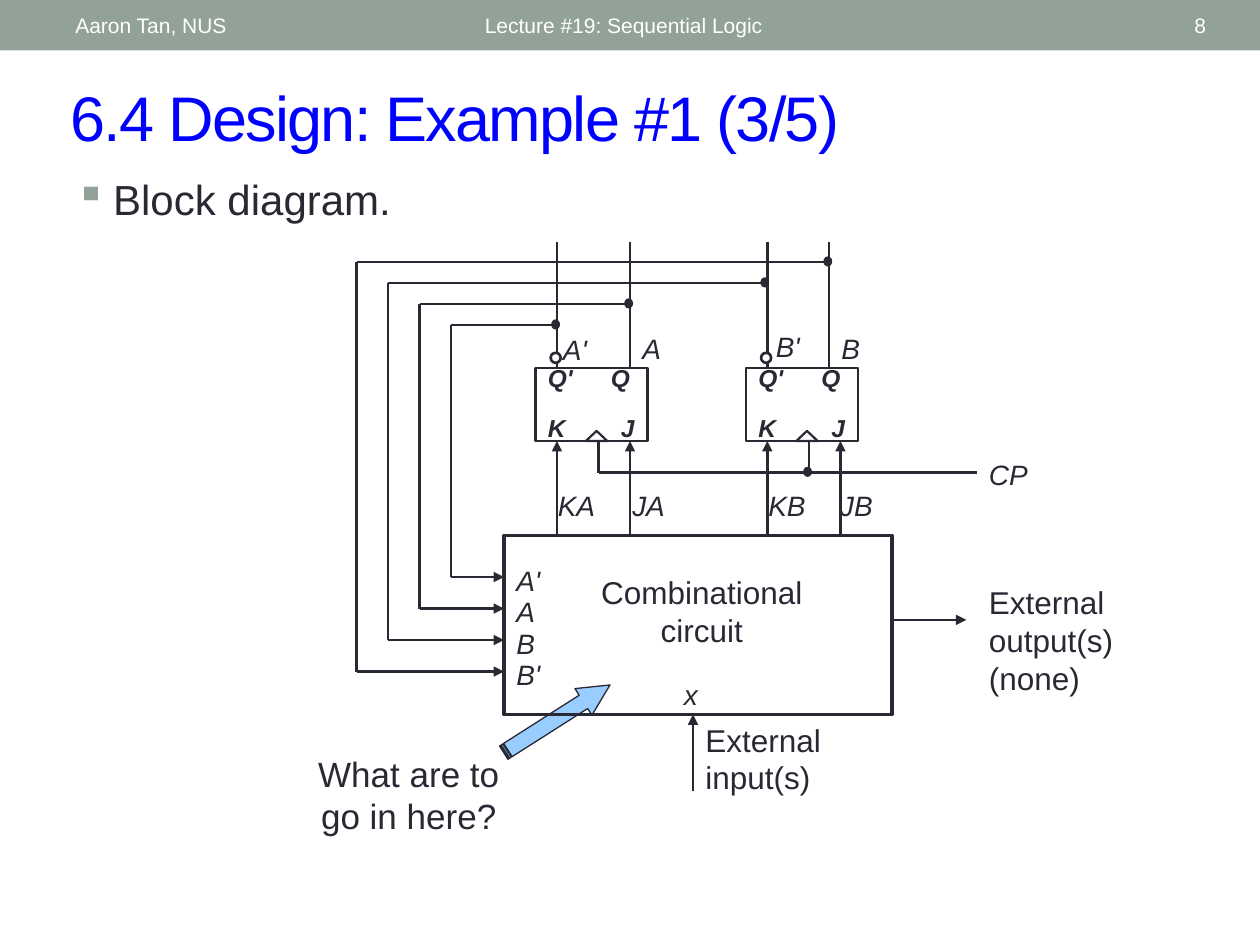
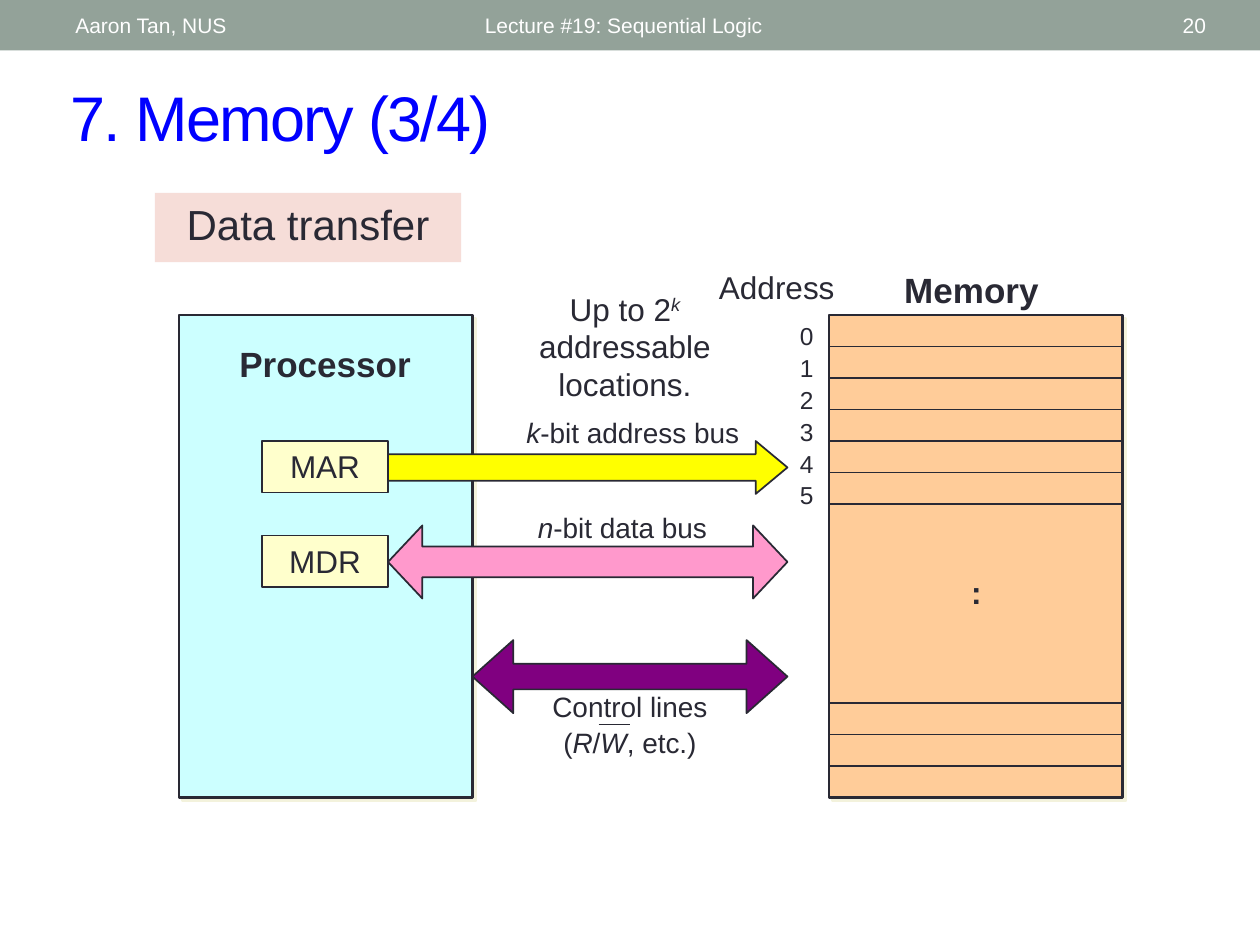
from dataclasses import dataclass

import lxml.etree
import pptx
import pptx.dml.color
import pptx.enum.shapes
import pptx.enum.text
import pptx.oxml.ns
import pptx.util

Inches = pptx.util.Inches
Pt = pptx.util.Pt
SHAPE = pptx.enum.shapes.MSO_SHAPE
ALIGN = pptx.enum.text.PP_ALIGN
ANCHOR = pptx.enum.text.MSO_ANCHOR
qn = pptx.oxml.ns.qn


@dataclass(frozen=True)
class Theme:
    font: str = "Arial"
    ink: str = "292934"
    band: str = "93A299"
    white: str = "FFFFFF"
    title: str = "0000FF"
    pointer: str = "99CCFF"
    heading: str = "F6DDD8"
    processor: str = "CCFFFF"
    register: str = "FFFFCC"
    memory: str = "FFCC99"
    address_bus: str = "FFFF00"
    data_bus: str = "FF99CC"
    control_bus: str = "800080"
    shadow: str = "F3F2DC"
    title_size: float = 36
    body_size: float = 24
    large_size: float = 20
    text_size: float = 18
    label_size: float = 16
    pin_size: float = 14
    band_size: float = 12


T = Theme()


@dataclass(frozen=True)
class Label:
    """Asterisks enclose italics; a leading caret raises a part."""
    text: str
    left: float
    top: float
    width: float
    height: float
    size: float = T.label_size
    color: str = T.ink
    bold: bool = False
    align: ALIGN = ALIGN.LEFT
    anchor: ANCHOR = ANCHOR.TOP
    wrap: bool = False


@dataclass(frozen=True)
class Box:
    left: float
    top: float
    width: float
    height: float
    kind: SHAPE = SHAPE.RECTANGLE
    fill: str | None = None
    line: float | None = None
    adjust: tuple[float, ...] = ()
    rotation: float = 0
    shadow: bool = False


@dataclass(frozen=True)
class Wire:
    x1: float
    y1: float
    x2: float
    y2: float
    width: float = 1.5
    arrow: bool = False


@dataclass(frozen=True)
class Feedback:
    signal: str
    tap_x: float


@dataclass(frozen=True)
class FlipFlop:
    name: str
    left: float
    q_x: float
    j_x: float
    q_label: float
    qn_label: tuple[float, float]
    k_label: float
    j_label: float


def rgb(color: str) -> pptx.dml.color.RGBColor:
    return pptx.dml.color.RGBColor.from_string(color)


def style_run(r, size: float, color: str, bold: bool = False, italic: bool = False) -> None:
    r.font.name, r.font.size = T.font, Pt(size)
    r.font.bold, r.font.italic = bold, italic
    r.font.color.rgb = rgb(color)


def write_label(sp, label: Label) -> None:
    tf = sp.text_frame
    tf.word_wrap, tf.vertical_anchor = label.wrap, label.anchor
    tf.text = label.text
    for p in tf.paragraphs:
        parts = [(part, i % 2 == 1) for i, part in enumerate(p.text.split("*")) if part]
        p.text = parts[0][0].lstrip("^")
        for part, _ in parts[1:]:
            p.add_run().text = part.lstrip("^")
        p.alignment = label.align
        if label.wrap and p is not tf.paragraphs[0] and len(tf.paragraphs) > 1:
            p.space_before = Pt(label.size * 0.1)
        for r, (part, italic) in zip(p.runs, parts):
            style_run(r, label.size, label.color, label.bold, italic)
            if part.startswith("^"):
                r._r.get_or_add_rPr().set("baseline", "30000")
    tf.paragraphs[0].space_before = Pt(0)


def add_label(s, label: Label):
    sp = s.shapes.add_textbox(*map(Inches, (label.left, label.top, label.width, label.height)))
    write_label(sp, label)
    return sp


def add_box(s, box: Box):
    sp = s.shapes.add_shape(box.kind, *map(Inches, (box.left, box.top, box.width, box.height)))
    sp.shadow.inherit = False
    sp.rotation = box.rotation
    for i, value in enumerate(box.adjust):
        sp.adjustments[i] = value
    if box.fill:
        sp.fill.solid()
        sp.fill.fore_color.rgb = rgb(box.fill)
    else:
        sp.fill.background()
    if box.line:
        sp.line.color.rgb, sp.line.width = rgb(T.ink), Pt(box.line)
    else:
        sp.line.fill.background()
    if box.shadow:
        effects = sp._element.spPr.find(qn("a:effectLst"))
        shadow = lxml.etree.SubElement(effects, qn("a:outerShdw"), dist=str(Pt(2.8)),
                                       dir="2700000", algn="ctr", rotWithShape="0")
        lxml.etree.SubElement(shadow, qn("a:srgbClr"), val=T.shadow)
    return sp


def add_wire(s, wire: Wire) -> None:
    cxn = s.shapes.add_connector(pptx.enum.shapes.MSO_CONNECTOR.STRAIGHT,
                                 *map(Inches, (wire.x1, wire.y1, wire.x2, wire.y2)))
    cxn.line.color.rgb, cxn.line.width = rgb(T.ink), Pt(wire.width)
    if wire.arrow:
        lxml.etree.SubElement(cxn.line._get_or_add_ln(), qn("a:tailEnd"), type="triangle")
    lxml.etree.SubElement(cxn._element.spPr, qn("a:effectLst"))


def add_dot(s, x: float, y: float) -> None:
    add_box(s, Box(x - 0.04, y - 0.04, 0.06, 0.07, SHAPE.OVAL, T.ink, 0.75))


def add_lecture_slide(prs, title: str, number: int):
    s = prs.slides.add_slide(prs.slide_layouts[5])
    sp = s.shapes.title
    sp.left, sp.top, sp.width, sp.height = map(Inches, (0.46, 0.57, 9.21, 0.7))
    write_label(sp, Label(title, 0.46, 0.57, 9.21, 0.7, T.title_size, T.title,
                          anchor=ANCHOR.MIDDLE, wrap=True))
    sp.text_frame.auto_size = pptx.enum.text.MSO_AUTO_SIZE.NONE
    sp.text_frame.paragraphs[0].runs[0]._r.get_or_add_rPr().set("spc", "-100")
    add_box(s, Box(0, 0, 10, 0.4, fill=T.band))
    for text, left, width, align in (
        ("Lecture #19: Sequential Logic", 3.75, 4.5, ALIGN.LEFT),
        (str(number), 8.72, 0.95, ALIGN.RIGHT),
        ("Aaron Tan, NUS", 0.5, 3.17, ALIGN.LEFT),
    ):
        add_label(s, Label(text, left, 0.02, width, 0.36, T.band_size, T.white,
                           align=align, anchor=ANCHOR.MIDDLE, wrap=True))
    return s


def add_bullet(s, label: Label) -> None:
    pPr = add_label(s, label).text_frame.paragraphs[0]._p.get_or_add_pPr()
    pPr.set("marL", str(Inches(0.3)))
    pPr.set("indent", str(-Inches(0.3)))
    color = lxml.etree.SubElement(pPr, qn("a:buClr"))
    lxml.etree.SubElement(color, qn("a:srgbClr"), val=T.band)
    lxml.etree.SubElement(pPr, qn("a:buChar"), char="▪")


def add_feedback(s, row: int, feedback: Feedback) -> None:
    lane, top, bottom = 3.58 - row * 0.25, 2.58 - row / 6, 4.58 + row * 0.25
    add_wire(s, Wire(lane, top, feedback.tap_x, top))
    add_wire(s, Wire(lane, top, lane, bottom))
    add_wire(s, Wire(lane, bottom, 4, bottom, arrow=True))
    add_dot(s, feedback.tap_x, top)
    add_label(s, Label(f"*{feedback.signal}*", 4, bottom - 0.16, 0.39, 0.37))


def add_flip_flop(s, ff: FlipFlop) -> None:
    k_x, clock_x = ff.left + 0.17, ff.left + 0.5
    for text, dx, top, width in (("Q'", 0, 2.83, 0.42), ("Q", 0.5, 2.83, 0.35),
                                 ("K", 0, 3.23, 0.34), ("J", 0.58, 3.23, 0.31)):
        add_label(s, Label(f"*{text}*", ff.left + dx, top, width, 0.33, T.pin_size, bold=True))
    add_box(s, Box(ff.left, 2.92, 0.89, 0.58, line=1.5))
    add_box(s, Box(ff.left + 0.4, 3.42, 0.17, 0.08, SHAPE.ISOSCELES_TRIANGLE, line=1.25))
    for x in (k_x, ff.q_x):
        add_wire(s, Wire(x, 1.92, x, 2.92))
    for x in (k_x, ff.j_x):
        add_wire(s, Wire(x, 4.25, x, 3.5, arrow=True))
    add_wire(s, Wire(clock_x, 3.5, clock_x, 3.75))
    add_box(s, Box(k_x - 0.05, 2.8, 0.08, 0.08, SHAPE.OVAL, T.white, 1.5))
    for text, left, top in ((f"{ff.name}'", *ff.qn_label), (ff.name, ff.q_label, 2.58),
                            (f"K{ff.name}", ff.k_label, 3.83), (f"J{ff.name}", ff.j_label, 3.83)):
        add_label(s, Label(f"*{text}*", left, top, 0.5, 0.37))


def build_design_slide(prs) -> None:
    s = add_lecture_slide(prs, "6.4 Design: Example #1 (3/5)", 8)
    add_bullet(s, Label("Block diagram.", 0.5, 1.33, 9, 0.62, T.body_size, wrap=True))
    add_label(s, Label("What are to go in here?", 2.33, 5.92, 1.83, 0.77, T.large_size,
                       align=ALIGN.CENTER, wrap=True))
    add_box(s, Box(3.92, 5.58, 1, 0.25, SHAPE.STRIPED_RIGHT_ARROW, T.pointer, 0.75,
                   (0.5, 1), 327.5))
    add_box(s, Box(4, 4.25, 3.08, 1.42, line=2))
    for row, feedback in enumerate((Feedback("A'", 4.42), Feedback("A", 5),
                                    Feedback("B", 6.08), Feedback("B'", 6.58))):
        add_feedback(s, row, feedback)
    for ff in (FlipFlop("A", 4.25, 5, 5, 5, (4.37, 2.59), 4.33, 4.92),
               FlipFlop("B", 5.92, 6.58, 6.67, 6.58, (6.06, 2.57), 6, 6.57)):
        add_flip_flop(s, ff)
    add_dot(s, 6.42, 3.75)
    for wire in (Wire(4.75, 3.75, 7.75, 3.75), Wire(5.5, 6.28, 5.5, 5.67, arrow=True),
                 Wire(7.08, 4.92, 7.67, 4.92, arrow=True)):
        add_wire(s, wire)
    for label in (
        Label("Combinational\ncircuit", 4.67, 4.5, 1.8, 0.7, T.text_size, align=ALIGN.CENTER),
        Label("*x*", 5.33, 5.33, 0.31, 0.37),
        Label("External\ninput(s)", 5.5, 5.67, 1.12, 0.7, T.text_size),
        Label("*CP*", 7.75, 3.58, 0.51, 0.37),
        Label("External\noutput(s)\n(none)", 7.75, 4.58, 1.19, 1, T.text_size),
    ):
        add_label(s, label)


def build_memory_slide(prs) -> None:
    s = add_lecture_slide(prs, "7. Memory (3/4)", 20)
    centered = {"align": ALIGN.CENTER, "wrap": True}
    heading = add_box(s, Box(1.23, 1.53, 2.43, 0.55, fill=T.heading))
    write_label(heading, Label("Data transfer", 1.23, 1.53, 2.43, 0.55, T.body_size, **centered))
    for left, fill in ((1.42, T.processor), (6.58, T.memory)):
        add_box(s, Box(left, 2.5, 2.33, 3.83, fill=fill, line=1.5, shadow=True))
    for text, top in (("MAR", 3.5), ("MDR", 4.25)):
        sp = add_box(s, Box(2.08, top, 1, 0.41, fill=T.register, line=1))
        write_label(sp, Label(text, 2.08, top, 1, 0.41, T.text_size, **centered))
    for first, count in ((2.75, 6), (5.58, 3)):
        for row in range(count):
            y = first + row * 0.25
            add_wire(s, Wire(6.58, y, 8.92, y, 1))
    for bus in (
        Box(3.08, 3.5, 3.17, 0.42, SHAPE.RIGHT_ARROW, T.address_bus, 1, (0.5, 0.6)),
        Box(3.08, 4.17, 3.17, 0.58, SHAPE.LEFT_RIGHT_ARROW, T.data_bus, 1, (0.42, 0.47)),
        Box(3.75, 5.08, 2.5, 0.58, SHAPE.LEFT_RIGHT_ARROW, T.control_bus, 1, (0.35, 0.56)),
    ):
        add_box(s, bus)
    for label in (
        Label("Address", 5.58, 2.08, 1.17, 0.4, T.text_size, **centered),
        Label("*k*-bit address bus", 4.08, 3.25, 1.92, 0.37, wrap=True),
        Label("\n".join(map(str, range(6))), 6.25, 2.5, 0.33, 1.56, T.pin_size, wrap=True),
        Label("Processor", 1.79, 2.67, 1.58, 0.43, T.large_size, bold=True, **centered),
        Label("Memory", 6.92, 2.08, 1.58, 0.43, T.large_size, bold=True, **centered),
        Label(":", 7.5, 4.5, 0.5, 0.4, T.text_size, bold=True, **centered),
        Label("*n*-bit data bus", 4.17, 4, 1.67, 0.37, wrap=True),
        Label("Control lines\n(*R*/*W*, etc.)", 4.25, 5.42, 1.5, 0.65, **centered),
        Label("Up to 2*^k* addressable locations.", 3.92, 2.25, 2.08, 1, T.text_size, **centered),
    ):
        add_label(s, label)
    add_wire(s, Wire(4.75, 5.75, 5, 5.75, 1))


def main() -> None:
    prs = pptx.Presentation()
    prs.slide_width, prs.slide_height = Inches(10), Inches(7.5)
    build_design_slide(prs)
    build_memory_slide(prs)
    prs.save("out.pptx")


if __name__ == "__main__":
    main()
